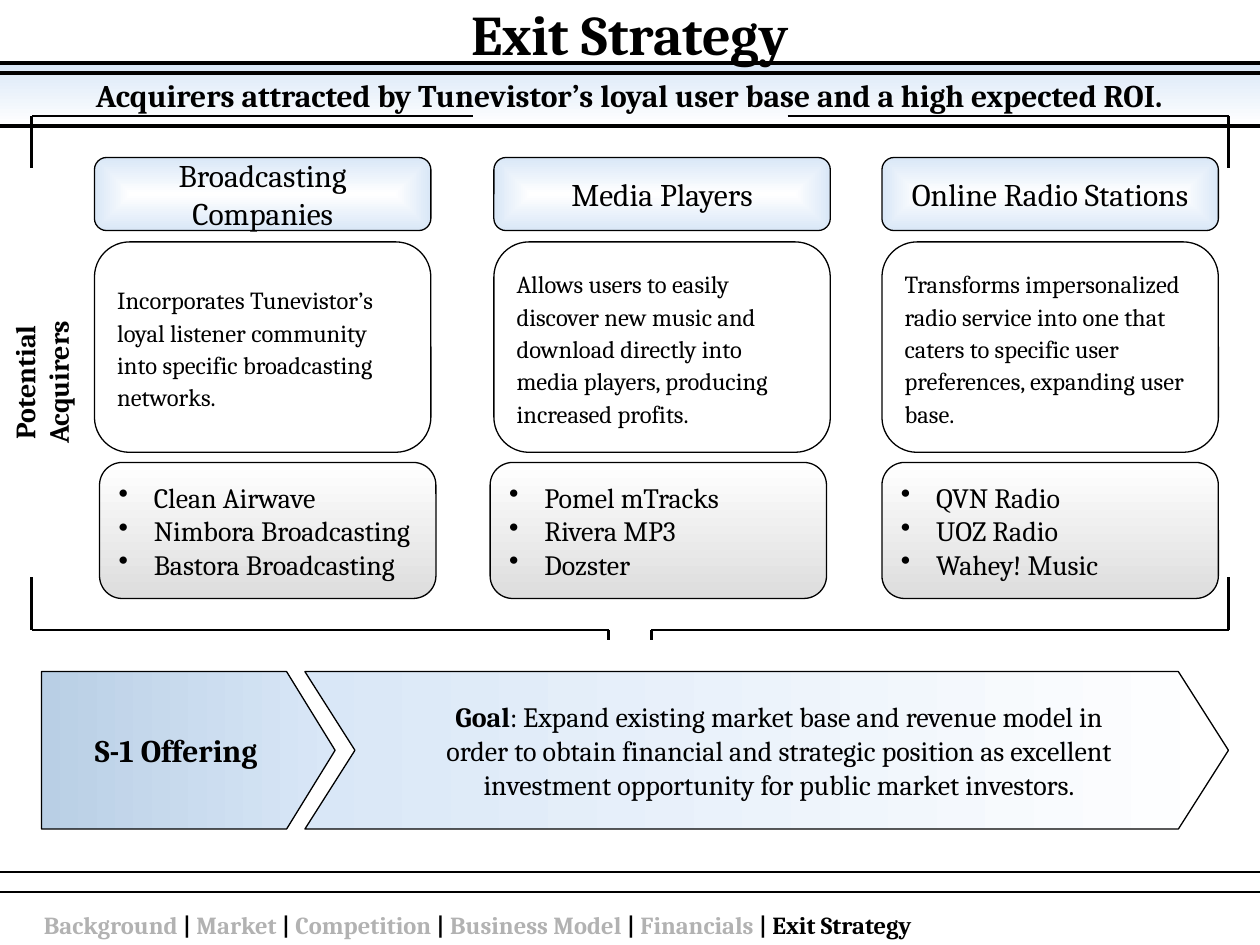
from lxml import etree
from pptx import Presentation
from pptx.dml.color import RGBColor
from pptx.enum.shapes import MSO_CONNECTOR, MSO_SHAPE
from pptx.enum.text import MSO_ANCHOR, PP_ALIGN
from pptx.oxml import parse_xml
from pptx.oxml.ns import qn
from pptx.util import Inches, Pt

LEFT, CENTER = PP_ALIGN.LEFT, PP_ALIGN.CENTER
MIDDLE, TOP = MSO_ANCHOR.MIDDLE, MSO_ANCHOR.TOP
RECT, ROUND = MSO_SHAPE.RECTANGLE, MSO_SHAPE.ROUNDED_RECTANGLE
CHEVRON, ARROW = MSO_SHAPE.CHEVRON, MSO_SHAPE.PENTAGON
STRAIGHT = MSO_CONNECTOR.STRAIGHT
NS = "http://schemas.openxmlformats.org/drawingml/2006/main"

COLORS = {"ink": "000000", "paper": "FFFFFF", "muted": "B2B2B2",
          "sky": "D9E7F7", "blue": "B9CFE5", "gray": "DDDDDD"}
DOWN, ACROSS = '<a:lin ang="5400000"/>', '<a:lin ang="0"/>'
GLOW = ('<a:path path="shape">'
        '<a:fillToRect l="50000" t="50000" r="50000" b="50000"/></a:path>')

COLUMNS = [
    (0.75, 0.79, "Broadcasting Companies",
     "Incorporates Tunevistor’s loyal listener community into specific "
     "broadcasting networks.",
     ["Clean Airwave", "Nimbora Broadcasting", "Bastora Broadcasting"]),
    (3.92, 3.89, "Media Players",
     "Allows users to easily discover new music and download directly into "
     "media players, producing increased profits.",
     ["Pomel mTracks", "Rivera MP3", "Dozster"]),
    (7, 7, "Online Radio Stations",
     "Transforms impersonalized radio service into one that caters to "
     "specific user preferences, expanding user base.",
     ["QVN Radio", "UOZ Radio", "Wahey! Music"]),
]
CARD = 2.67
# Left half of the bracket; the right half mirrors it.
BRACKET = [(3.75, 0.92, 0.25, 0.92), (0.25, 0.92, 0.25, 1.33),
           (0.25, 4.58, 0.25, 5), (0.25, 5, 4.83, 5), (4.83, 5, 4.83, 5.08)]
RULES = [(7.08, 0.75), (6.92, 1.25), (0.58, 2)]
TOPICS = ["Background", "Market", "Competition", "Business Model", "Financials"]


def color(name):
    return RGBColor.from_string(COLORS[name])


class Board:
    """Holds the text style and the slide being drawn."""

    def __init__(self, slide, font="Cambria"):
        self.slide, self.font = slide, font

    def letter(self, shape, paras, size, bold=False, align=CENTER,
               anchor=MIDDLE, wrap=True, space=None, bullet=False):
        """Fill a shape; each paragraph is a string or a list of
        (text, format values) runs."""
        frame = shape.text_frame
        frame.word_wrap, frame.vertical_anchor = wrap, anchor
        for i, runs in enumerate(paras):
            para = frame.add_paragraph() if i else frame.paragraphs[0]
            para.alignment, para.line_spacing = align, space
            if bullet:
                self.bullet(para)
            if isinstance(runs, str):
                runs = [(runs, {})]
            for text, extra in runs:
                run = para.add_run()
                run.text = text
                look = {"name": self.font, "size": Pt(size), "bold": bold}
                look.update(extra)
                run.font.color.rgb = color(look.pop("color", "ink"))
                for key, value in look.items():
                    setattr(run.font, key, value)

    def bullet(self, para):
        props = para._p.get_or_add_pPr()
        props.set("marL", str(Inches(0.28)))
        props.set("indent", str(-Inches(0.28)))
        etree.SubElement(props, qn("a:buChar")).set("char", "•")

    def title(self, text, box, below):
        """Place the title just above the given shape in the stack."""
        shape = self.slide.shapes.title
        for key, value in zip(("left", "top", "width", "height"), box):
            setattr(shape, key, Inches(value))
        below._element.addnext(shape._element)
        self.letter(shape, [text], 32, bold=True)

    def label(self, box, paras, size, turn=None, **style):
        shape = self.slide.shapes.add_textbox(*map(Inches, box))
        if turn:
            shape.text_frame._txBody.bodyPr.set("vert", turn)
        self.letter(shape, paras, size, anchor=TOP, bold=True, **style)

    def block(self, kind, box, paras, size, blend=None, adj=None,
              weight=0.75, **style):
        """Outlined shape; blend is (first colour, last colour, direction)."""
        shape = self.slide.shapes.add_shape(kind, *map(Inches, box))
        shape.shadow.inherit = False
        if adj is not None:
            shape.adjustments[0] = adj
        shape.fill.solid()
        shape.fill.fore_color.rgb = color("paper")
        if blend:
            self.shade(shape, *blend)
        shape.line.color.rgb = color("ink")
        shape.line.width = Pt(weight)
        self.letter(shape, paras, size, **style)
        return shape

    def shade(self, shape, first, last, way):
        stops = "".join(
            f'<a:gs pos="{pos}"><a:srgbClr val="{COLORS[name]}"/></a:gs>'
            for pos, name in ((0, first), (100000, last)))
        props = shape._element.spPr
        props.replace(props.find(qn("a:solidFill")), parse_xml(
            f'<a:gradFill xmlns:a="{NS}" rotWithShape="1">'
            f"<a:gsLst>{stops}</a:gsLst>{way}</a:gradFill>"))

    def line(self, ends, weight):
        rule = self.slide.shapes.add_connector(STRAIGHT, *map(Inches, ends))
        rule.line.color.rgb = color("ink")
        rule.line.width = Pt(weight)
        etree.SubElement(rule._element.spPr, qn("a:effectLst"))


def main():
    deck = Presentation()
    deck.slide_width, deck.slide_height = Inches(10), Inches(7.5)
    board = Board(deck.slides.add_slide(deck.slide_layouts[5]))

    banner = board.block(
        RECT, (-0.17, 0.5, 10.33, 0.5),
        ["Acquirers attracted by Tunevistor’s loyal user base and a high "
         "expected ROI."],
        18, ("sky", "paper", DOWN), weight=2, bold=True, wrap=False)
    board.title("Exit Strategy", (0, -0.08, 10, 0.68), banner)

    trail = []
    for topic in TOPICS:
        trail += [(topic, {"color": "muted"}), (" | ", {})]
    board.label((0.25, 7.17, 7.58, 0.33), [trail + [("Exit Strategy", {})]],
                14, align=LEFT)

    goal = board.block(
        CHEVRON, (2.42, 5.33, 7.33, 1.25),
        [[("Goal", {"bold": True}),
          (": Expand existing market base and revenue model in order to "
           "obtain financial and strategic position as excellent investment "
           "opportunity for public market investors.", {})]],
        16, ("sky", "paper", ACROSS), adj=0.318)
    goal.text_frame.margin_left = Inches(0.6)
    goal.text_frame.margin_right = Inches(0.4)
    board.block(ARROW, (0.33, 5.33, 2.33, 1.25), ["S-1 Offering"], 18,
                ("blue", "sky", ACROSS), adj=0.308, bold=True)

    for y, weight in RULES:
        board.line((0, y, 10, y), weight)
    board.label((0.01, 2.4, 0.74, 1.27), ["Potential Acquirers"], 16,
                turn="vert270")
    for x1, y1, x2, y2 in BRACKET:
        board.line((x1, y1, x2, y2), 1.5)
        board.line((10 - x1, y1, 10 - x2, y2), 1.5)

    for x, inset, head, body, names in COLUMNS:
        board.block(ROUND, (x, 1.25, CARD, 0.58), [head], 18,
                    ("paper", "sky", GLOW))
        board.block(ROUND, (inset, 3.67, CARD, 1.08), names, 16,
                    ("paper", "gray", DOWN), align=LEFT, bullet=True)
        board.block(ROUND, (x, 1.92, CARD, 1.67), [body], 14,
                    align=LEFT, space=1.1)

    deck.save("out.pptx")


if __name__ == "__main__":
    main()
